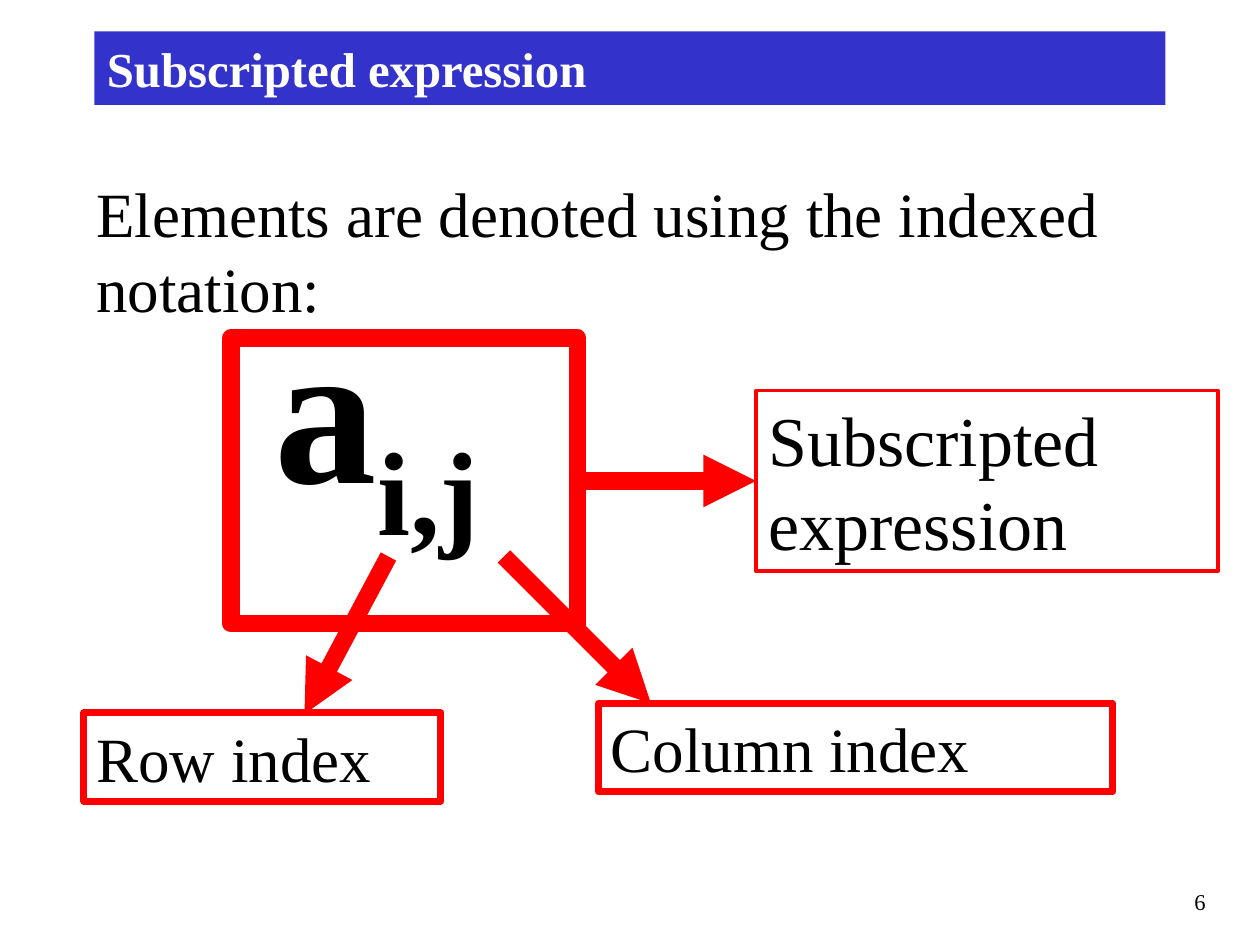
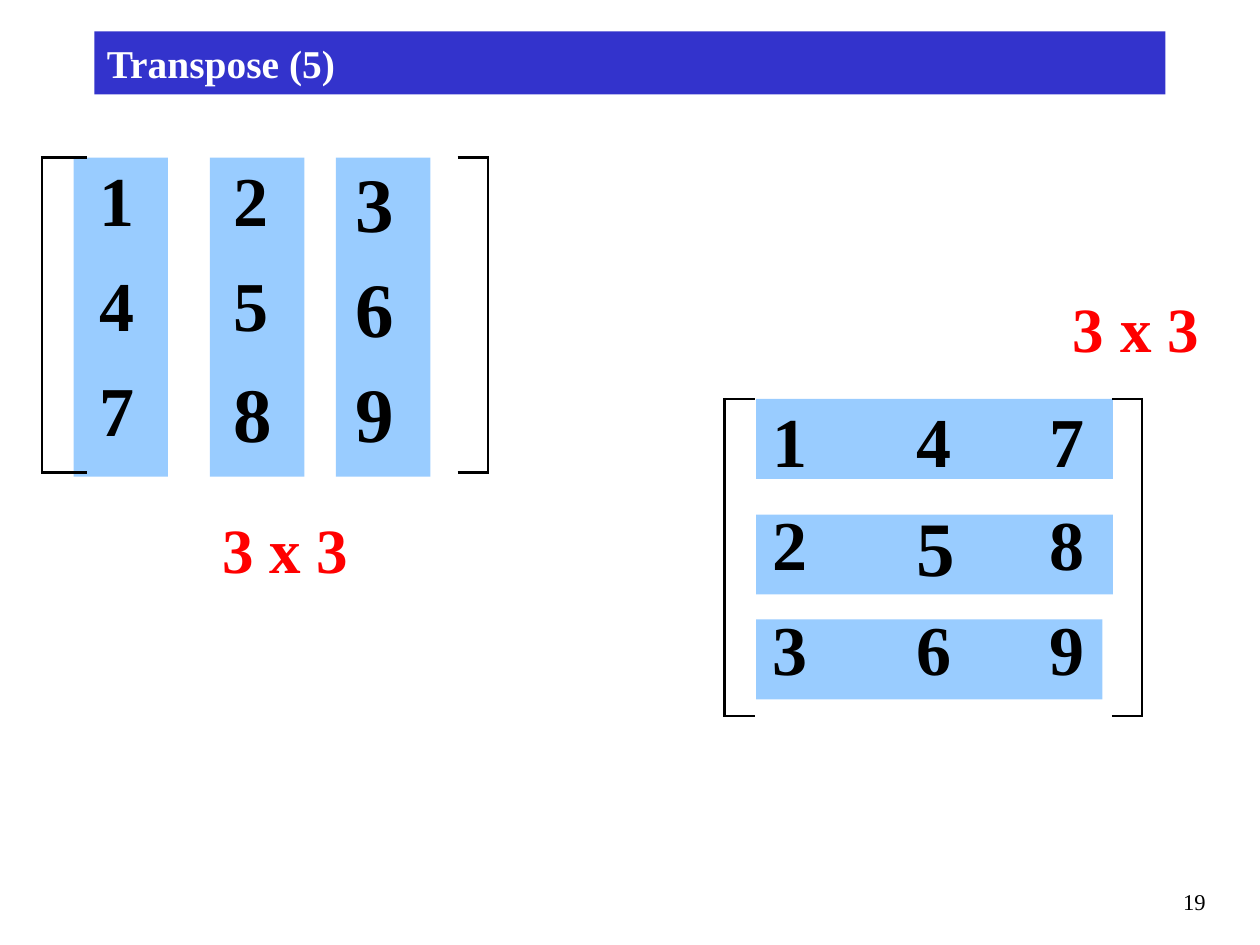
"""Build two lecture slides on matrix subscripts and transposition."""
from itertools import product

from lxml.etree import SubElement
from pptx import Presentation
from pptx.dml.color import RGBColor
from pptx.enum.shapes import MSO_CONNECTOR as Connector, MSO_SHAPE as Shape
from pptx.enum.text import MSO_ANCHOR as Anchor, MSO_AUTO_SIZE as AutoSize, PP_ALIGN as Align
from pptx.oxml.ns import qn
from pptx.util import Inches, Pt

BLACK = RGBColor(0x00, 0x00, 0x00)
WHITE = RGBColor(0xFF, 0xFF, 0xFF)
RED = RGBColor(0xFF, 0x00, 0x00)
TITLE_BLUE = RGBColor(0x33, 0x33, 0xCC)
BAND_BLUE = RGBColor(0x99, 0xCC, 0xFF)
FONT = "Times New Roman"
UNIT = Inches(1) / 12
BORDER = Pt(1.47)
RIGHT, LEFT = 3, 1


def grid(*cells):
    """Turn columns or rows of the 120 by 90 grid into lengths."""
    return [round(cell * UNIT) for cell in cells]


def write(frame, text, size=36, color=BLACK, bold=False, align=Align.LEFT, subscript=""):
    """Write one paragraph, with an optional subscript at its end."""
    para = frame.paragraphs[0]
    para.alignment = align
    for part, offset in ((text, 0), (subscript, -25000)):
        if part:
            span = para.add_run()
            span.text = part
            font = span.font
            font.name, font.size, font.bold = FONT, Pt(size), bold
            font.color.rgb = color
            if offset:
                span._r.get_or_add_rPr().set("baseline", str(offset))


class Painter:
    """Hold the deck, its style and the current slide."""

    def __init__(self):
        """Open an empty deck of 10 by 7.5 inches."""
        self.deck = Presentation()
        self.deck.slide_width, self.deck.slide_height = grid(120, 90)
        self.page = None

    def slide(self, title, number, height, size):
        """Start a slide with its title band and page number."""
        self.page = self.deck.slides.add_slide(self.deck.slide_layouts[6])
        self.text(number, 91, 84, 25, 4, size=12.9, align=Align.RIGHT, grow=False)
        band = self.box(9, 3, 102, height, fill=TITLE_BLUE)
        band.text_frame.vertical_anchor = Anchor.MIDDLE
        write(band.text_frame, title, size=size, color=WHITE, bold=True)

    def text(self, text, left, top, width, height, grow=True, **style):
        """Add a text box that wraps."""
        frame = self.page.shapes.add_textbox(*grid(left, top, width, height)).text_frame
        frame.word_wrap = True
        frame.auto_size = AutoSize.SHAPE_TO_FIT_TEXT if grow else AutoSize.NONE
        write(frame, text, **style)

    def box(self, left, top, width, height, fill=None, border=0):
        """Add a rectangle that is filled or outlined in red."""
        box = self.page.shapes.add_shape(Shape.RECTANGLE, *grid(left, top, width, height))
        box.shadow.inherit = False
        if fill is None:
            box.fill.background()
        else:
            box.fill.solid()
            box.fill.fore_color.rgb = fill
        if border:
            box.line.color.rgb = RED
            box.line.width = Pt(border)
        else:
            box.line.fill.background()
        return box

    def label(self, text, left, top, width, height, border=4, size=36):
        """Add a red outlined box with text."""
        box = self.box(left, top, width, height, border=border)
        box.text_frame.word_wrap = True
        box.text_frame.vertical_anchor = Anchor.TOP
        box.text_frame.auto_size = AutoSize.SHAPE_TO_FIT_TEXT
        write(box.text_frame, text, size=size)
        return box

    def arrow(self, *ends):
        """Add a thick red arrow between two grid points."""
        arrow = self.page.shapes.add_connector(Connector.STRAIGHT, *grid(*ends))
        arrow.line.color.rgb = RED
        arrow.line.width = Pt(10)
        SubElement(arrow.line._get_or_add_ln(), qn("a:tailEnd"), type="triangle")
        SubElement(arrow._element.spPr, qn("a:effectLst"))
        return arrow

    def table(self, left, top, widths, heights, values=None, large="", brackets=False):
        """Add a clear table, with brackets at its sides if asked."""
        rows, columns = len(heights), len(widths)
        place = grid(left, top, sum(widths), sum(heights))
        table = self.page.shapes.add_table(rows, columns, *place).table
        table.first_row = table.horz_banding = False
        for column, width in zip(table.columns, grid(*widths)):
            column.width = width
        for row, height in zip(table.rows, grid(*heights)):
            row.height = height
        for row, column in product(range(rows), range(columns)):
            cell = table.cell(row, column)
            outer = brackets and column in (0, columns - 1)
            self.borders(cell, {
                "L": brackets and column == 0,
                "R": brackets and column == columns - 1,
                "T": outer and row == 0,
                "B": outer and row == rows - 1,
            })
            cell.fill.background()
            digit = values[row][column] if values else ""
            if digit:
                write(cell.text_frame, digit, size=44 if digit in large else 40, bold=True)

    @staticmethod
    def borders(cell, sides):
        """Draw the chosen sides of a cell and clear the others."""
        properties = cell._tc.get_or_add_tcPr()
        for side, drawn in sides.items():
            line = SubElement(properties, qn(f"a:ln{side}"), w=str(BORDER if drawn else 0))
            if drawn:
                fill = SubElement(line, qn("a:solidFill"))
                SubElement(fill, qn("a:srgbClr"), val=str(BLACK))
            else:
                SubElement(line, qn("a:noFill"))


def subscript_slide(painter):
    """Explain the parts of a subscripted expression."""
    painter.slide("Subscripted expression", "6", height=7, size=27.9)
    painter.arrow(48, 53, 62, 67)
    painter.arrow(37, 53, 29, 68)
    painter.text("Elements are denoted using the indexed notation:", 8, 16, 104, 15.6)
    frame = painter.box(22, 32.2, 33, 27.2, border=10)
    expression = painter.label("Subscripted expression", 72, 37.2, 44, 17.2, border=2, size=40)
    arrow = painter.arrow(55, 45.8, 72, 45.8)
    arrow.begin_connect(frame, RIGHT)
    arrow.end_connect(expression, LEFT)
    painter.label("Row index", 8, 67.9, 34, 8.4)
    painter.label("Column index", 57, 67, 49, 8.4)
    painter.text("a", 25, 26, 27.7, 27.8, size=117, bold=True, subscript="i,j")


def transpose_slide(painter):
    """Show how columns of a matrix become rows."""
    painter.slide("Transpose (5)", "19", height=6, size=22.5)
    for top, width in ((59, 33), (49, 34), (38, 34)):
        painter.box(72, top, width, 7.6, fill=BAND_BLUE)
    for left in (7, 20, 32):
        painter.box(left, 15, 9, 30.4, fill=BAND_BLUE)
    matrix = ("123", "456", "789")
    padded = [["", *row, "", ""] for row in matrix]
    painter.table(4, 15, (4.3, 12.7, 11.7, 8, 2.9, 2.9), (10, 10, 10),
                  padded, large="3689", brackets=True)
    places = ((38, 9.2), (47.8, 10), (57.8, 9.2))
    for (top, height), row in zip(places, zip(*matrix)):
        painter.table(72.4, top, (13.7, 12.7, 11), (height,), [row], large="5")
    painter.table(69, 38, (2.9, 12.2, 11.2, 7.7, 2.9, 2.9), (10.2, 10, 10), brackets=True)
    for left, top in ((20, 48), (101, 27)):
        painter.text("3 x 3", left, top, 16, 8.4, color=RED, bold=True)


def main():
    """Build and save the deck."""
    painter = Painter()
    subscript_slide(painter)
    transpose_slide(painter)
    painter.deck.save("out.pptx")


if __name__ == "__main__":
    main()
